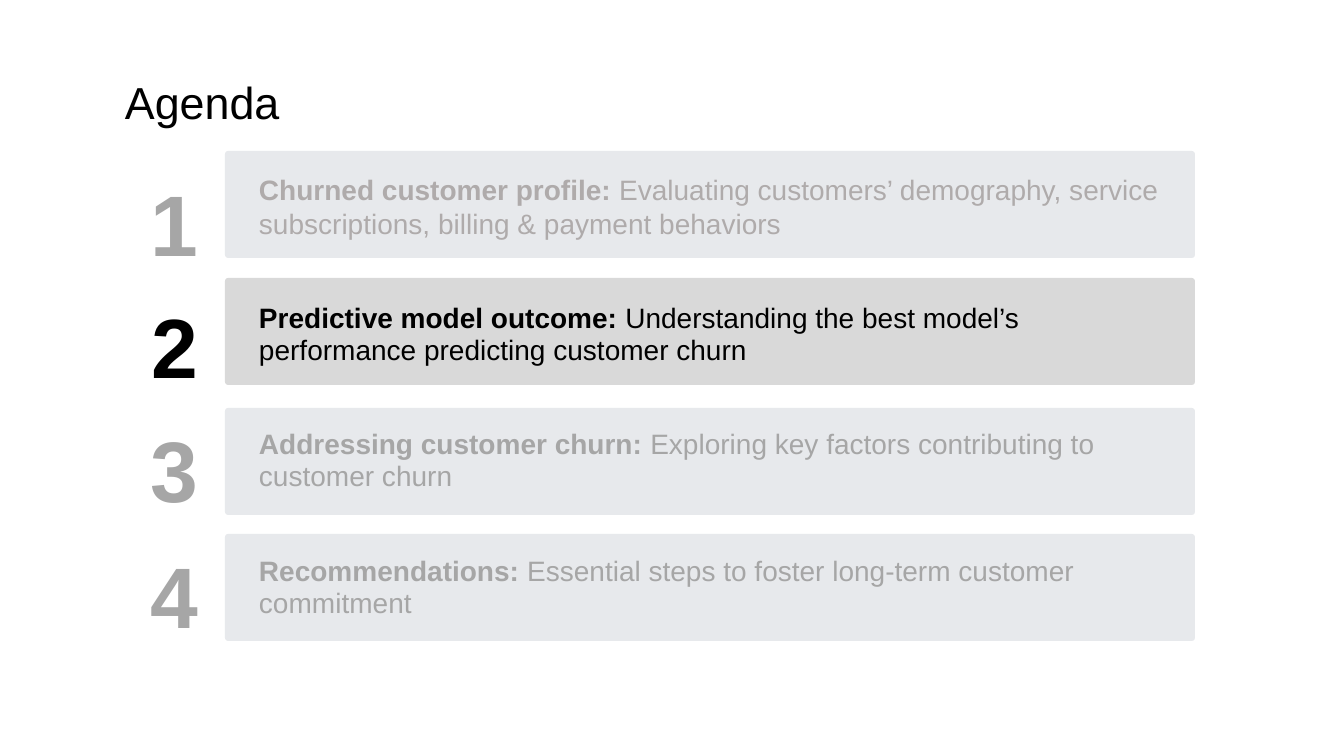
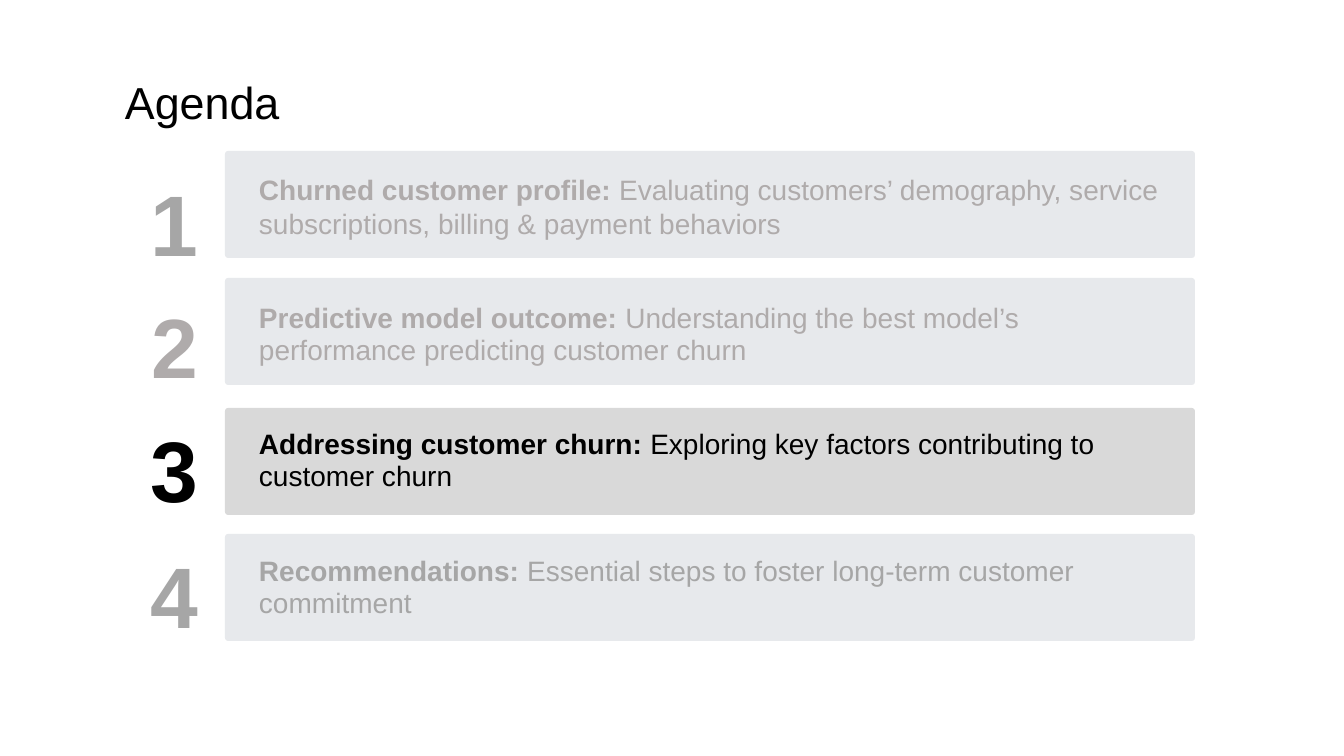
from collections import namedtuple

from pptx import Presentation
from pptx.dml.color import RGBColor
from pptx.enum.shapes import MSO_SHAPE
from pptx.enum.text import PP_ALIGN
from pptx.util import Pt

ROUNDED = MSO_SHAPE.ROUNDED_RECTANGLE
LEFT, CENTER = PP_ALIGN.LEFT, PP_ALIGN.CENTER
FONT = "Arial"
COLORS = {
    "ink": "000000",
    "gray": "A6A6A6",
    "warm": "AFABAB",
    "bar": "E7E9EC",
    "active": "D9D9D9",
}
EMU_PER_INCH, PX_PER_INCH = 914400, 100.8

Item = namedtuple("Item", "head body top text_dy num_dy num_size spacing text_color num_color")
ITEMS = [
    Item("Churned customer profile: ",
         "Evaluating customers’ demography, service subscriptions, billing & payment behaviors",
         151, 21, 2, 61.3, 24.3, "warm", "gray"),
    Item("Predictive model outcome: ",
         "Understanding the best model’s performance predicting customer churn",
         278, 23, -3, 60, 23.3, "warm", "warm"),
    Item("Addressing customer churn: ",
         "Exploring key factors contributing to customer churn",
         408, 19, -9, 61.3, 23.3, "gray", "gray"),
    Item("Recommendations: ",
         "Essential steps to foster long-term customer commitment",
         534, 20, -9, 61.3, 23.3, "gray", "gray"),
]


def px(n):
    """Turn px into EMU."""
    return round(n * EMU_PER_INCH / PX_PER_INCH)


def rgb(name):
    """Look up a named colour."""
    return RGBColor.from_string(COLORS[name])


def add_text(s, box, parts, size, color, spacing, align=LEFT):
    """Add one paragraph made of (text, bold) parts."""
    tf = s.shapes.add_textbox(*map(px, box)).text_frame
    tf.word_wrap = True
    tf.margin_left = tf.margin_top = tf.margin_right = tf.margin_bottom = 0
    p = tf.paragraphs[0]
    p.alignment = align
    p.line_spacing = Pt(spacing)
    for text, bold in parts:
        r = p.add_run()
        r.text = text
        r.font.name = FONT
        r.font.size = Pt(size)
        r.font.bold = bold
        r.font.color.rgb = rgb(color)


def add_item(s, box, number, item, active):
    """Draw one agenda bar with its text and the number left of it."""
    x, y, w, h = box
    bar = s.shapes.add_shape(ROUNDED, *map(px, box))
    bar.adjustments[0] = 0.03
    bar.shadow.inherit = False
    bar.fill.solid()
    bar.fill.fore_color.rgb = rgb("active" if active else "bar")
    bar.line.fill.background()
    add_text(s, (x + 34, y + item.text_dy, w - 68, 66),
             [(item.head, True), (item.body, False)],
             20, "ink" if active else item.text_color, item.spacing)
    add_text(s, (x - 101, y + item.num_dy, 101, 114), [(str(number), True)],
             item.num_size, "ink" if active else item.num_color, 85.9, CENTER)


def add_agenda(prs, current):
    """Add an agenda slide that highlights the current item."""
    s = prs.slides.add_slide(prs.slide_layouts[6])
    add_text(s, (125, 66, 454, 59), [("Agenda", False)], 32, "ink", 44.8)
    for number, item in enumerate(ITEMS, 1):
        add_item(s, (225, item.top, 970, 107), number, item, number == current)


def main():
    """Build the deck."""
    prs = Presentation()
    prs.slide_width, prs.slide_height = px(1344), px(756)
    for current in (2, 3):
        add_agenda(prs, current)
    prs.save("out.pptx")


if __name__ == "__main__":
    main()
